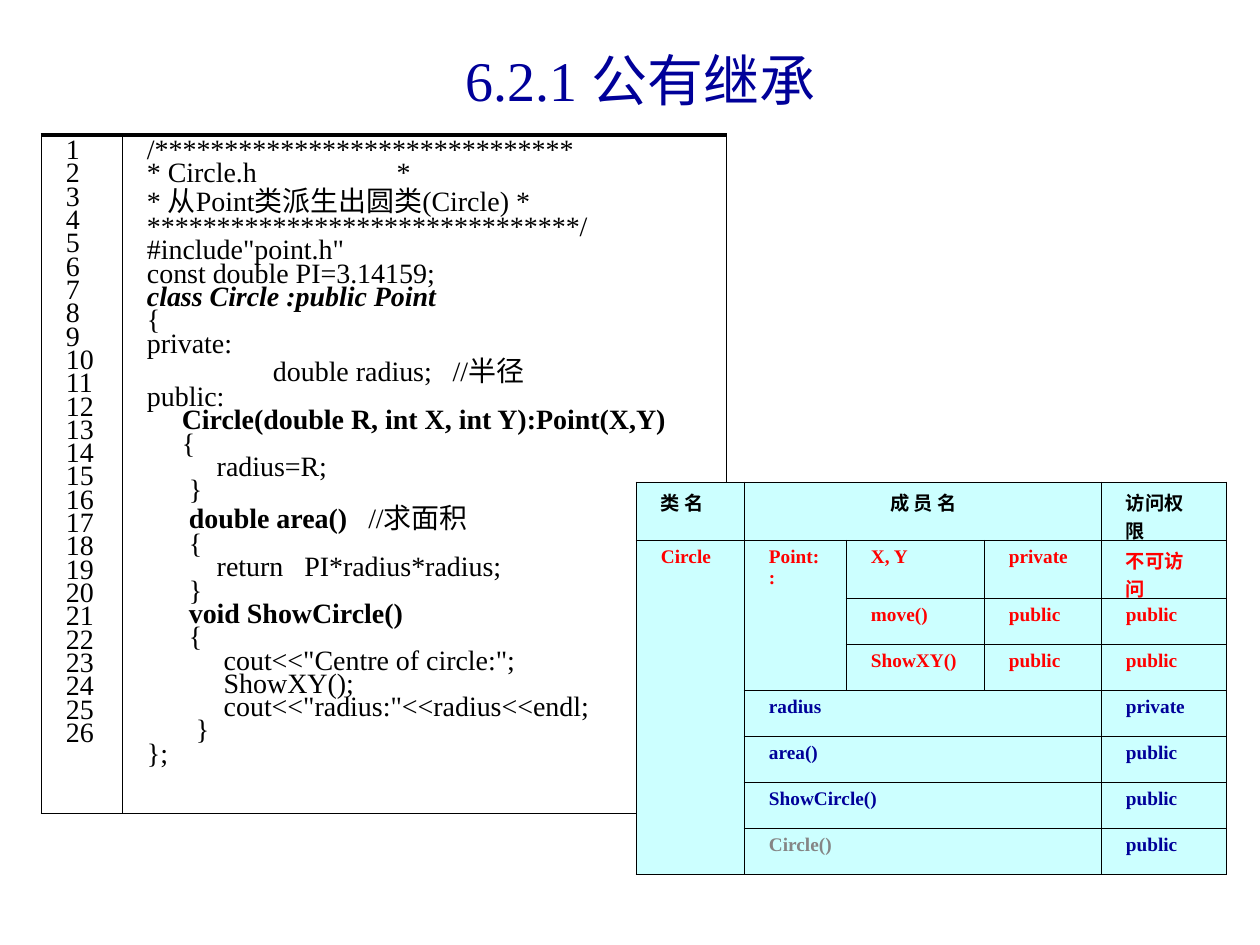
"""Builds the slide on public inheritance: the Circle.h listing and its member access table."""
from lxml.etree import SubElement
from pptx import Presentation
from pptx.dml.color import RGBColor
from pptx.enum.shapes import MSO_CONNECTOR as CONNECTOR
from pptx.enum.text import MSO_ANCHOR as ANCHOR, PP_ALIGN as ALIGN
from pptx.oxml.ns import qn
from pptx.util import Pt

PX = 914400 / 126
BLACK = RGBColor(0x00, 0x00, 0x00)
NAVY = RGBColor(0x00, 0x00, 0x99)
RED = RGBColor(0xFF, 0x00, 0x00)
GREY = RGBColor(0x85, 0x85, 0x85)
CYAN = RGBColor(0xCC, 0xFF, 0xFF)


def write(frame, lines, size=11, color=BLACK, bold=False, align=ALIGN.LEFT, spacing=None, tab=None):
    for index, line in enumerate(lines):
        paragraph = frame.add_paragraph() if index else frame.paragraphs[0]
        paragraph.alignment = align
        if spacing:
            paragraph.line_spacing = spacing
        if tab:
            stops = SubElement(paragraph._p.get_or_add_pPr(), qn("a:tabLst"))
            SubElement(stops, qn("a:tab"), pos=str(round(tab * PX)), algn="l")
        for text, style in [(line, "")] if isinstance(line, str) else line:
            run = paragraph.add_run()
            run.text = text
            run.font.name = "Times New Roman"
            run.font.size = Pt(size)
            run.font.bold = bold or "b" in style
            run.font.italic = "i" in style
            run.font.color.rgb = color


def make_table(shapes, left, top, widths, heights, top_line, fill=None):
    box = [round(v * PX) for v in (left, top, sum(widths), sum(heights))]
    table = shapes.add_table(len(heights), len(widths), *box).table
    table.first_row = table.horz_banding = False
    for column, width in zip(table.columns, widths):
        column.width = round(width * PX)
    for row, height in zip(table.rows, heights):
        row.height = round(height * PX)
    for cell in table.iter_cells():
        cell.margin_left, cell.margin_right = round(25 * PX), round(23 * PX)
        cell.margin_top = cell.margin_bottom = round(6 * PX)
        for side, points in (("L", 0.45), ("R", 0.45), ("T", top_line), ("B", 0.45)):
            edge = SubElement(cell._tc.get_or_add_tcPr(), qn(f"a:ln{side}"), w=str(Pt(points)))
            SubElement(SubElement(edge, qn("a:solidFill")), qn("a:srgbClr"), val=str(BLACK))
        if fill:
            cell.fill.solid()
            cell.fill.fore_color.rgb = fill
        else:
            cell.fill.background()
    return table


prs = Presentation()
prs.slide_width, prs.slide_height = round(1260 * PX), round(945 * PX)
shapes = prs.slides.add_slide(prs.slide_layouts[6]).shapes

title = shapes.add_textbox(*[round(v * PX) for v in (74, 21, 1134, 116)]).text_frame
title.word_wrap = True
title.vertical_anchor = ANCHOR.MIDDLE
write(title, ["6.2.1 公有继承"], size=32, color=NAVY, align=ALIGN.CENTER)

code = [
    "/******************************",
    "* Circle.h                    *",
    "* 从Point类派生出圆类(Circle) *",
    "*******************************/",
    '#include"point.h"',
    "const double PI=3.14159;",
    [("class Circle :public Point", "bi")],
    "{",
    "private:",
    "\tdouble radius;   //半径",
    "public:",
    [("     Circle(double R, int X, int Y):Point(X,Y)", "b")],
    "     {",
    "          radius=R;",
    "      }",
    [("      double area() ", "b"), ("  //求面积", "")],
    "      {",
    "          return   PI*radius*radius;",
    "      }",
    [("      void ShowCircle()", "b")],
    "      {",
    '           cout<<"Centre of circle:";',
    "           ShowXY();",
    '           cout<<"radius:"<<radius<<endl;',
    "       }",
    "};",
]
listing = make_table(shapes, 41, 135, [81, 604], [678], top_line=2.5)
numbers = [str(n) for n in range(1, len(code) + 1)]
for column, lines in enumerate((numbers, code)):
    write(listing.cell(0, column).text_frame, lines, size=16, spacing=0.75, tab=126)

dot = shapes.add_connector(CONNECTOR.STRAIGHT, *[round(v * PX) for v in (338, 435, 338, 435)])
dot.line.color.rgb = BLACK
dot.line.width = Pt(1)
SubElement(dot._element.spPr, qn("a:effectLst"))

members = [
    (BLACK, ["类 名", "成 员 名", None, None, "访问权限"]),
    (RED, ["Circle", "Point::", "X, Y", "private", "不可访问"]),
    (RED, [None, None, "move()", "public", "public"]),
    (RED, [None, None, "ShowXY()", "public", "public"]),
    (NAVY, [None, "radius", None, None, "private"]),
    (NAVY, [None, "area()", None, None, "public"]),
    (NAVY, [None, "ShowCircle()", None, None, "public"]),
    (NAVY, [None, "Circle()", None, None, "public"]),
]
access = make_table(shapes, 636, 482, [108, 102, 138, 117, 125], [46] * len(members),
                    top_line=0.45, fill=CYAN)
access.cell(1, 0).merge(access.cell(7, 0))
access.cell(1, 1).merge(access.cell(3, 1))
for row in (0, 4, 5, 6, 7):
    access.cell(row, 1).merge(access.cell(row, 3))
for row, (color, texts) in enumerate(members):
    for column, text in enumerate(texts):
        if text:
            write(access.cell(row, column).text_frame, [text], bold=True,
                  color=GREY if text == "Circle()" else color,
                  align=ALIGN.CENTER if text == "成 员 名" else ALIGN.LEFT)

prs.save("out.pptx")
